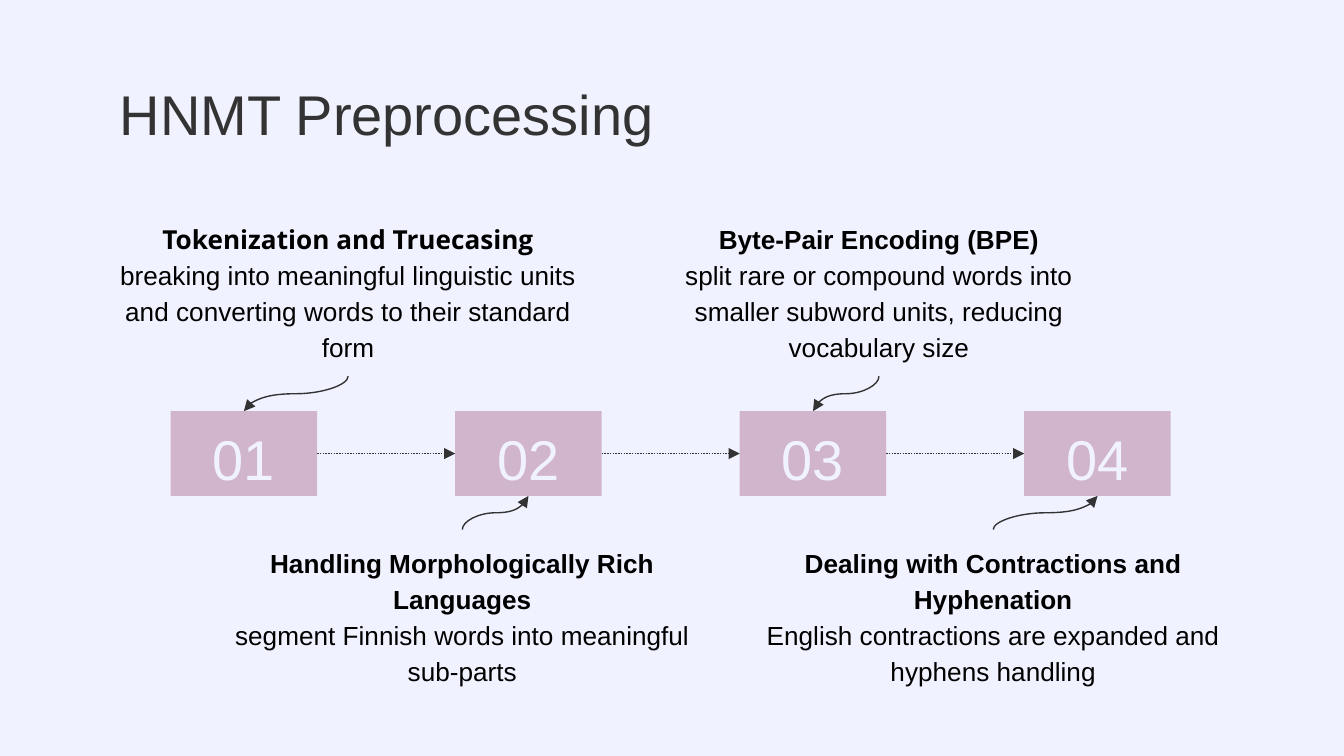
"""Build the HNMT preprocessing slide: four numbered steps with captions."""
from lxml.etree import SubElement
from pptx import Presentation
from pptx.dml.color import RGBColor
from pptx.enum.dml import MSO_LINE
from pptx.enum.shapes import MSO_CONNECTOR, MSO_SHAPE
from pptx.enum.text import MSO_ANCHOR, MSO_AUTO_SIZE, PP_ALIGN
from pptx.oxml.ns import qn
from pptx.util import Inches, Pt

COLORS = {"background": "F1F2FF", "ink": "333333", "text": "000000", "box": "D1B5CD"}
COLUMNS = 100
FONT = "Arial"

BOX_LEFT, BOX_TOP, BOX_WIDTH, BOX_HEIGHT, BOX_PITCH = 12.7, 30.6, 10.9, 6.3, 21.17
CAPTION_WIDTH, CAPTION_HEIGHT = 36.4, 9.1
UPPER_TOP, LOWER_TOP = 18.9, 39.4

STEPS = [
    (7.7, True, "Open Sans", "Tokenization and Truecasing",
     "breaking into meaningful linguistic units and converting words to their standard form"),
    (16.2, False, FONT, "Handling Morphologically Rich Languages",
     "segment Finnish words into meaningful sub-parts"),
    (47.2, True, FONT, "Byte-Pair Encoding (BPE)",
     "split rare or compound words into smaller subword units, reducing vocabulary size"),
    (55.7, False, FONT, "Dealing with Contractions and Hyphenation",
     "English contractions are expanded and hyphens handling"),
]


class StepSlide:
    """Hold the style and the slide, placing elements on a grid of square cells."""

    def __init__(self, presentation):
        self.cell = presentation.slide_width / COLUMNS
        self.slide = presentation.slides.add_slide(presentation.slide_layouts[5])
        self.shapes = self.slide.shapes
        fill = self.slide.background.fill
        fill.solid()
        fill.fore_color.rgb = self.color("background")

    def color(self, name):
        return RGBColor.from_string(COLORS[name])

    def grid(self, *cells):
        return [round(count * self.cell) for count in cells]

    def frame(self, shape, anchor):
        frame = shape.text_frame
        frame.word_wrap = True
        frame.auto_size = MSO_AUTO_SIZE.NONE
        frame.vertical_anchor = anchor
        frame.margin_left = frame.margin_right = Inches(0.1)
        frame.margin_top = frame.margin_bottom = Inches(0.1)
        return frame

    def add_text(self, paragraph, text, size, color, font=FONT, bold=False,
                 align=PP_ALIGN.CENTER, spacing=1.15):
        paragraph.alignment = align
        paragraph.line_spacing = spacing
        run = paragraph.add_run()
        run.text = text
        run.font.name = font
        run.font.size = Pt(size)
        run.font.bold = bold
        run.font.color.rgb = self.color(color)

    def title(self, text, *cells):
        shape = self.shapes.title
        shape.left, shape.top, shape.width, shape.height = self.grid(*cells)
        frame = self.frame(shape, MSO_ANCHOR.TOP)
        self.add_text(frame.paragraphs[0], text, 30, "ink", align=PP_ALIGN.LEFT, spacing=1.0)

    def caption(self, heading, body, heading_font, anchor, *cells):
        frame = self.frame(self.shapes.add_textbox(*self.grid(*cells)), anchor)
        self.add_text(frame.paragraphs[0], heading, 14, "text", heading_font, True)
        self.add_text(frame.add_paragraph(), body, 14, "text")

    def box(self, text, *cells):
        shape = self.shapes.add_shape(MSO_SHAPE.RECTANGLE, *self.grid(*cells))
        shape.shadow.inherit = False
        shape.fill.solid()
        shape.fill.fore_color.rgb = self.color("box")
        shape.line.fill.background()
        frame = self.frame(shape, MSO_ANCHOR.MIDDLE)
        self.add_text(frame.paragraphs[0], text, 30, "background")

    def arrow(self, kind, *cells):
        connector = self.shapes.add_connector(kind, *self.grid(*cells))
        connector.line.width = Pt(0.75)
        connector.line.color.rgb = self.color("ink")
        properties = connector._element.spPr
        SubElement(properties.find(qn("a:ln")), qn("a:tailEnd"), type="triangle")
        SubElement(properties, qn("a:effectLst"))
        return connector

    def dotted_arrow(self, start, end, row):
        connector = self.arrow(MSO_CONNECTOR.STRAIGHT, start, row, end, row)
        connector.line.dash_style = MSO_LINE.ROUND_DOT

    def curved_arrow(self, start_x, start_y, end_x, end_y):
        """Draw a vertical S curve as a quarter-turned connector."""
        middle_x, middle_y = (start_x + end_x) / 2, (start_y + end_y) / 2
        half_rise, half_run = abs(end_y - start_y) / 2, abs(end_x - start_x) / 2
        connector = self.arrow(
            MSO_CONNECTOR.CURVE, middle_x - half_rise, middle_y - half_run,
            middle_x + half_rise, middle_y + half_run)
        degrees = 90 if end_y > start_y else 270
        connector._element.spPr.find(qn("a:xfrm")).set("rot", str(degrees * 60000))


def main():
    presentation = Presentation()
    presentation.slide_width = Inches(10)
    presentation.slide_height = Inches(10) * 9 // 16
    page = StepSlide(presentation)
    page.title("HNMT Preprocessing", 7.9, 4.9, 84.3, 6.3)

    for index, (caption_left, above, font, heading, body) in enumerate(STEPS):
        box_left = BOX_LEFT + index * BOX_PITCH
        box_center = box_left + BOX_WIDTH / 2
        caption_center = caption_left + CAPTION_WIDTH / 2
        if above:
            top, anchor = UPPER_TOP, MSO_ANCHOR.BOTTOM
            curve_start, curve_end = UPPER_TOP + CAPTION_HEIGHT, BOX_TOP
        else:
            top, anchor = LOWER_TOP, MSO_ANCHOR.TOP
            curve_start, curve_end = LOWER_TOP, BOX_TOP + BOX_HEIGHT
        page.caption(heading, body, font, anchor,
                     caption_left, top, CAPTION_WIDTH, CAPTION_HEIGHT)
        page.box(f"{index + 1:02}", box_left, BOX_TOP, BOX_WIDTH, BOX_HEIGHT)
        page.curved_arrow(caption_center, curve_start, box_center, curve_end)
        if index:
            page.dotted_arrow(box_left - BOX_PITCH + BOX_WIDTH, box_left,
                              BOX_TOP + BOX_HEIGHT / 2)

    presentation.save("out.pptx")


if __name__ == "__main__":
    main()
